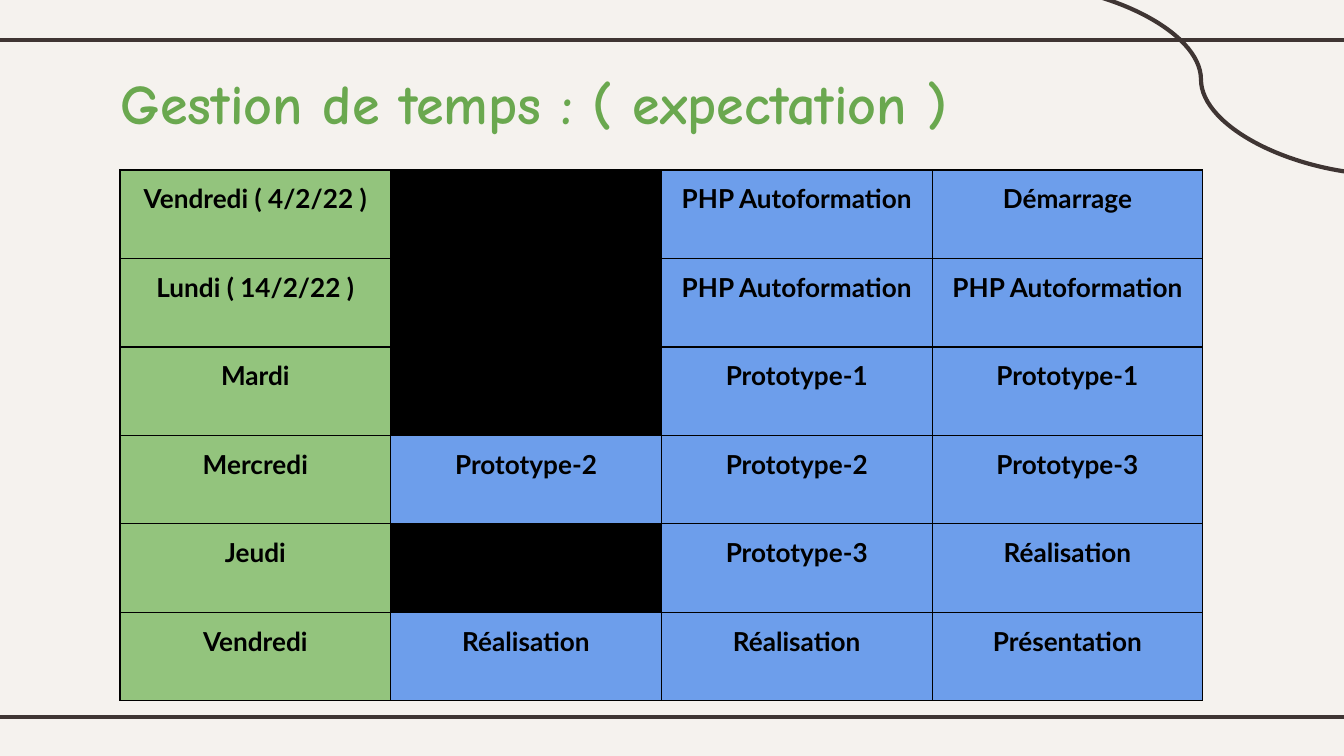
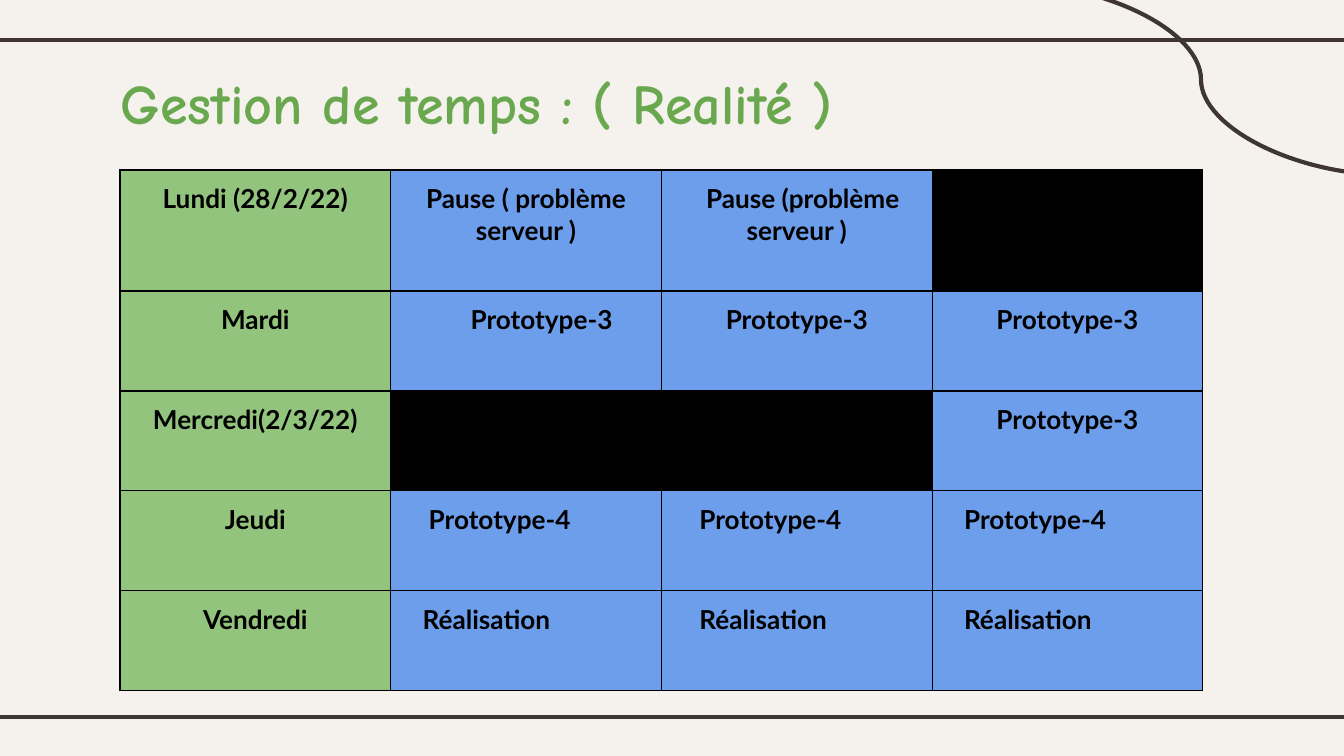
"""Build two slides that compare the planned and the real time schedule."""
import collections

import pptx
import pptx.dml.color
import pptx.enum.shapes
import pptx.enum.text
import pptx.oxml
import pptx.oxml.ns
import pptx.util

RGBColor = pptx.dml.color.RGBColor
CONNECTOR = pptx.enum.shapes.MSO_CONNECTOR
ALIGN = pptx.enum.text.PP_ALIGN

CREAM = RGBColor(0xF5, 0xF2, 0xEE)
BROWN = RGBColor(0x3F, 0x35, 0x33)
TITLE_GREEN = RGBColor(0x6A, 0xA8, 0x4F)
DAY_GREEN = RGBColor(0x93, 0xC4, 0x7D)
TASK_BLUE = RGBColor(0x6D, 0x9E, 0xEB)
BLACK = RGBColor(0x00, 0x00, 0x00)

TITLE_FONT = "Comic Neue"
TABLE_FONT = "Lato"
EMU_PER_PX = 9144000 / 1344
INSET = 13
TABLE_LEFT, TABLE_TOP, TABLE_WIDTH = 120, 170, 1083

Task = collections.namedtuple("Task", "text indent align", defaults=(0, ALIGN.CENTER))

EXPECTED_ROWS = [
    ["Vendredi ( 4/2/22 )", None, "PHP Autoformation", "Démarrage"],
    ["Lundi ( 14/2/22 )", None, "PHP Autoformation", "PHP Autoformation"],
    ["Mardi", None, "Prototype-1", "Prototype-1"],
    ["Mercredi", "Prototype-2", "Prototype-2", "Prototype-3"],
    ["Jeudi", None, "Prototype-3", "Réalisation"],
    ["Vendredi", "Réalisation", "Réalisation", "Présentation"],
]
EXPECTED_HEIGHTS = [531 / 6] * 6


def left_tasks(text, indents):
    """Return left-aligned tasks with the same text and the given indents."""
    return [Task(text, indent, ALIGN.LEFT) for indent in indents]


REAL_ROWS = [
    ["Lundi (28/2/22)", "Pause ( problème serveur )",
     Task("Pause (problème serveur )", 12), None],
    ["Mardi", Task("Prototype-3", 31), "Prototype-3", "Prototype-3"],
    ["Mercredi(2/3/22)", None, None, "Prototype-3"],
    ["Jeudi", *left_tasks("Prototype-4", (25, 25, 19))],
    ["Vendredi", *left_tasks("Réalisation", (19, 25, 19))],
]
REAL_HEIGHTS = [121] + [100] * 4


def px(length):
    """Turn pixels into EMU."""
    return pptx.util.Emu(round(length * EMU_PER_PX))


def style_text(para, font_name, size, color):
    """Format every run of a paragraph in bold."""
    for span in para.runs:
        span.font.name = font_name
        span.font.size = pptx.util.Pt(size)
        span.font.bold = True
        span.font.color.rgb = color


def add_line(page, kind, start, end):
    """Draw a brown connector without a shadow."""
    line = page.shapes.add_connector(kind, *map(px, start + end))
    line.line.color.rgb = BROWN
    line.line.width = pptx.util.Pt(2.25)
    properties = line._element.spPr
    properties.append(pptx.oxml.parse_xml(
        f"<a:effectLst {pptx.oxml.ns.nsdecls('a')}/>"))


def add_frame(page):
    """Draw the background, the two bands and the corner curve."""
    page.background.fill.solid()
    page.background.fill.fore_color.rgb = CREAM
    for y in (40, 717):
        add_line(page, CONNECTOR.STRAIGHT, (-11, y), (1355, y))
    add_line(page, CONNECTOR.CURVE, (1012, -16), (1390, 175))


def add_title(page, text):
    """Write the slide title."""
    box = page.shapes.add_textbox(px(108), px(56), px(1046), px(85))
    frame = box.text_frame
    frame.word_wrap = True
    frame.margin_left = frame.margin_right = px(INSET)
    frame.margin_top = frame.margin_bottom = px(INSET)
    frame.text = text
    style_text(frame.paragraphs[0], TITLE_FONT, 30, TITLE_GREEN)


def add_borders(cell):
    """Give a cell thin black lines on all four sides."""
    properties = cell._tc.get_or_add_tcPr()
    for side in "LRTB":
        properties.append(pptx.oxml.parse_xml(
            f"<a:ln{side} {pptx.oxml.ns.nsdecls('a')} w='{pptx.util.Pt(0.75)}'>"
            f"<a:solidFill><a:srgbClr val='{BLACK}'/></a:solidFill></a:ln{side}>"))


def fill_cell(cell, entry, color):
    """Colour a cell and write its entry; an empty entry is black."""
    add_borders(cell)
    cell.fill.solid()
    cell.fill.fore_color.rgb = color if entry else BLACK
    cell.margin_left = cell.margin_right = px(INSET)
    cell.margin_top = cell.margin_bottom = px(INSET)
    if entry is None:
        return
    task = entry if isinstance(entry, Task) else Task(entry)
    cell.text_frame.text = task.text
    para = cell.text_frame.paragraphs[0]
    para.alignment = task.align
    if task.indent:
        para._p.get_or_add_pPr().set("indent", str(px(task.indent)))
    style_text(para, TABLE_FONT, 14, BLACK)


def add_schedule(page, rows, heights):
    """Add the table of days and tasks."""
    column_count = len(rows[0])
    table = page.shapes.add_table(
        len(rows), column_count, px(TABLE_LEFT), px(TABLE_TOP),
        px(TABLE_WIDTH), px(sum(heights))).table
    table.first_row = table.horz_banding = False
    for column in table.columns:
        column.width = px(TABLE_WIDTH / column_count)
    for row, height, entries in zip(table.rows, heights, rows):
        row.height = px(height)
        for index, entry in enumerate(entries):
            fill_cell(row.cells[index], entry, TASK_BLUE if index else DAY_GREEN)


def add_page(deck, title, rows, heights):
    """Add one schedule slide."""
    page = deck.slides.add_slide(deck.slide_layouts[6])
    add_frame(page)
    add_title(page, title)
    add_schedule(page, rows, heights)


def main():
    """Build and save the deck."""
    deck = pptx.Presentation()
    deck.slide_width, deck.slide_height = px(1344), px(756)
    add_page(deck, "Gestion de temps : ( expectation )", EXPECTED_ROWS, EXPECTED_HEIGHTS)
    add_page(deck, "Gestion de temps : ( Realité )", REAL_ROWS, REAL_HEIGHTS)
    deck.save("out.pptx")


if __name__ == "__main__":
    main()
